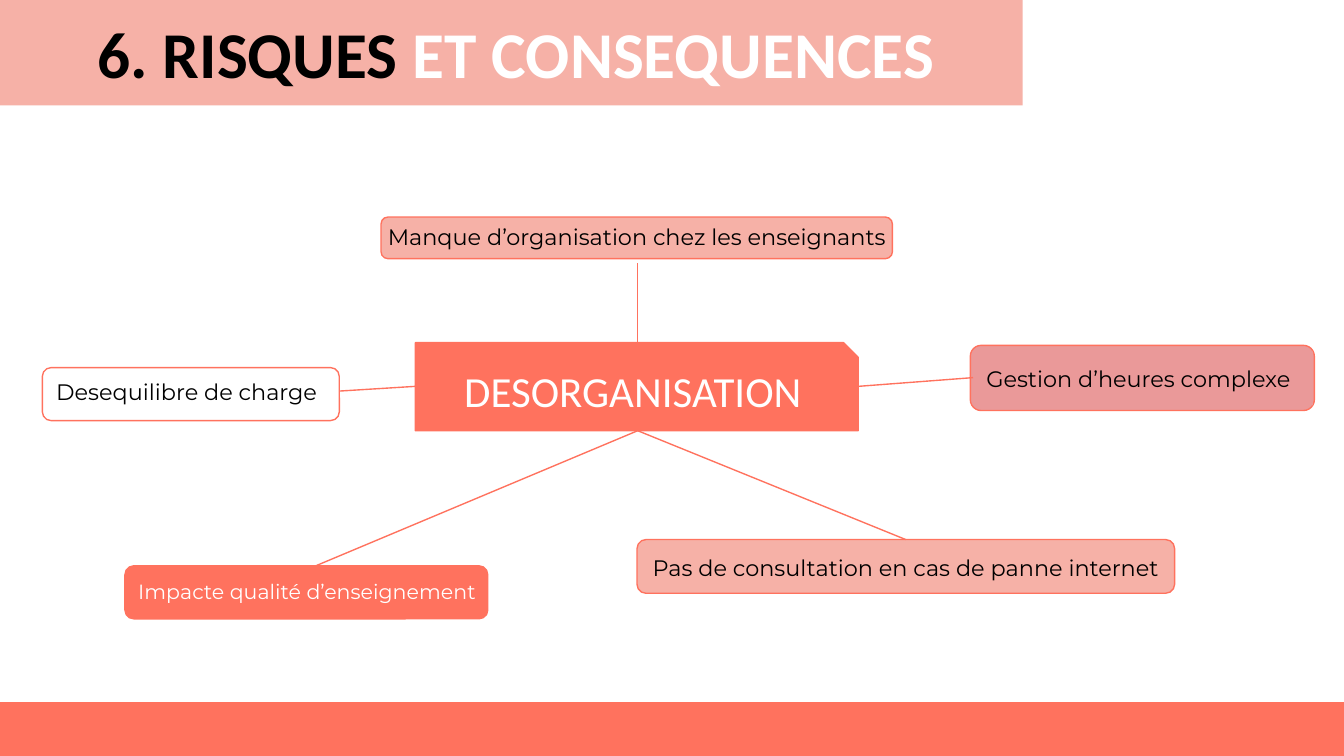
from lxml.etree import SubElement
from pptx import Presentation
from pptx.dml.color import RGBColor
from pptx.enum.shapes import MSO_CONNECTOR, MSO_SHAPE
from pptx.enum.text import MSO_ANCHOR, MSO_AUTO_SIZE, PP_ALIGN
from pptx.oxml.ns import qn
from pptx.util import Pt

PX = 4572
COLORS = {"coral": "FF725E", "salmon": "F6B1A7", "rose": "EA9999",
          "white": "FFFFFF", "black": "000000"}

TITLE = [("6. RISQUES ", "black"), ("ET CONSEQUENCES", "white")]
CENTER = ("DESORGANISATION", (618, 510, 659, 131))
BANDS = [((0, 1045, 2000, 80), "coral"), ((0, 0, 1522, 157), "salmon")]
CAUSES = [
    {"text": "Manque d’organisation chez les enseignants", "card": (567, 323, 761, 62),
     "label": (548, 312, 800, 80), "fill": "salmon", "align": PP_ALIGN.CENTER},
    {"text": "Gestion d’heures complexe", "card": (1444, 514, 512, 97),
     "label": (1448, 523, 506, 80), "fill": "rose", "label_fill": "rose"},
    {"text": "Impacte qualité d’enseignement", "card": (186, 842, 540, 79),
     "label": (186, 842, 568, 80), "fill": "coral", "color": "white", "size": 11},
    {"text": "Desequilibre de charge", "card": (63, 547, 442, 79),
     "label": (64, 543, 442, 80), "fill": "white"},
    {"text": "Pas de consultation en cas de panne internet", "card": (948, 803, 800, 80),
     "label": (948, 804, 800, 80), "fill": "salmon", "align": PP_ALIGN.CENTER},
]
LINKS = [("left", (505, 582)), ("bottom", (470, 842)), ("bottom", (1348, 803)),
         ("right", (1448, 562)), ("top", (949, 391))]


def emu(lengths):
    return [length * PX for length in lengths]


def rgb(name):
    return RGBColor.from_string(COLORS[name])


def add_block(page, kind, place, fill, line=None):
    block = page.shapes.add_shape(kind, *emu(place))
    block.shadow.inherit = False
    block.fill.solid()
    block.fill.fore_color.rgb = rgb(fill)
    if line:
        block.line.color.rgb = rgb(line)
        block.line.width = Pt(0.75)
    else:
        block.line.fill.background()
    return block


def write(box, spans, font="Montserrat", size=12, bold=False,
          align=PP_ALIGN.LEFT, anchor=MSO_ANCHOR.TOP):
    frame = box.text_frame
    frame.word_wrap = True
    frame.auto_size = MSO_AUTO_SIZE.NONE
    frame.vertical_anchor = anchor
    frame.margin_left = frame.margin_right = 20 * PX
    frame.margin_top = frame.margin_bottom = 20 * PX
    para = frame.paragraphs[0]
    para.alignment = align
    for text, color in spans:
        span = para.add_run()
        span.text = text
        span.font.name = font
        span.font.size = Pt(size)
        span.font.bold = bold
        span.font.color.rgb = rgb(color)


def add_link(page, start, end):
    link = page.shapes.add_connector(MSO_CONNECTOR.STRAIGHT, *emu(start + end))
    link.line.color.rgb = rgb("coral")
    link.line.width = Pt(0.75)
    SubElement(link.element.spPr, qn("a:effectLst"))


def main():
    deck = Presentation()
    deck.slide_width, deck.slide_height = emu((2000, 1125))
    page = deck.slides.add_slide(deck.slide_layouts[5])

    for cause in CAUSES:
        add_block(page, MSO_SHAPE.ROUNDED_RECTANGLE, cause["card"], cause["fill"], "coral")
    for place, fill in BANDS:
        add_block(page, MSO_SHAPE.RECTANGLE, place, fill)

    title = page.shapes.title
    title.left, title.top, title.width, title.height = emu((0, 29, 1536, 98))
    write(title, TITLE, font="Calibri", size=35, bold=True,
          align=PP_ALIGN.CENTER, anchor=MSO_ANCHOR.MIDDLE)
    title.element.getparent().append(title.element)

    for cause in CAUSES:
        label = page.shapes.add_textbox(*emu(cause["label"]))
        if "label_fill" in cause:
            label.fill.solid()
            label.fill.fore_color.rgb = rgb(cause["label_fill"])
        write(label, [(cause["text"], cause.get("color", "black"))],
              size=cause.get("size", 12), align=cause.get("align", PP_ALIGN.LEFT))

    text, place = CENTER
    hub = add_block(page, MSO_SHAPE.SNIP_1_RECTANGLE, place, "coral", "coral")
    write(hub, [(text, "white")], font="Calibri", size=23,
          align=PP_ALIGN.CENTER, anchor=MSO_ANCHOR.MIDDLE)

    left, top, width, height = place
    middle_x, middle_y = left + (width + 1) // 2 + 1, top + height // 2
    sides = {"left": (left, middle_y), "right": (left + width, middle_y),
             "top": (middle_x, top), "bottom": (middle_x, top + height)}
    for side, end in LINKS:
        add_link(page, sides[side], end)

    deck.save("out.pptx")


if __name__ == "__main__":
    main()
